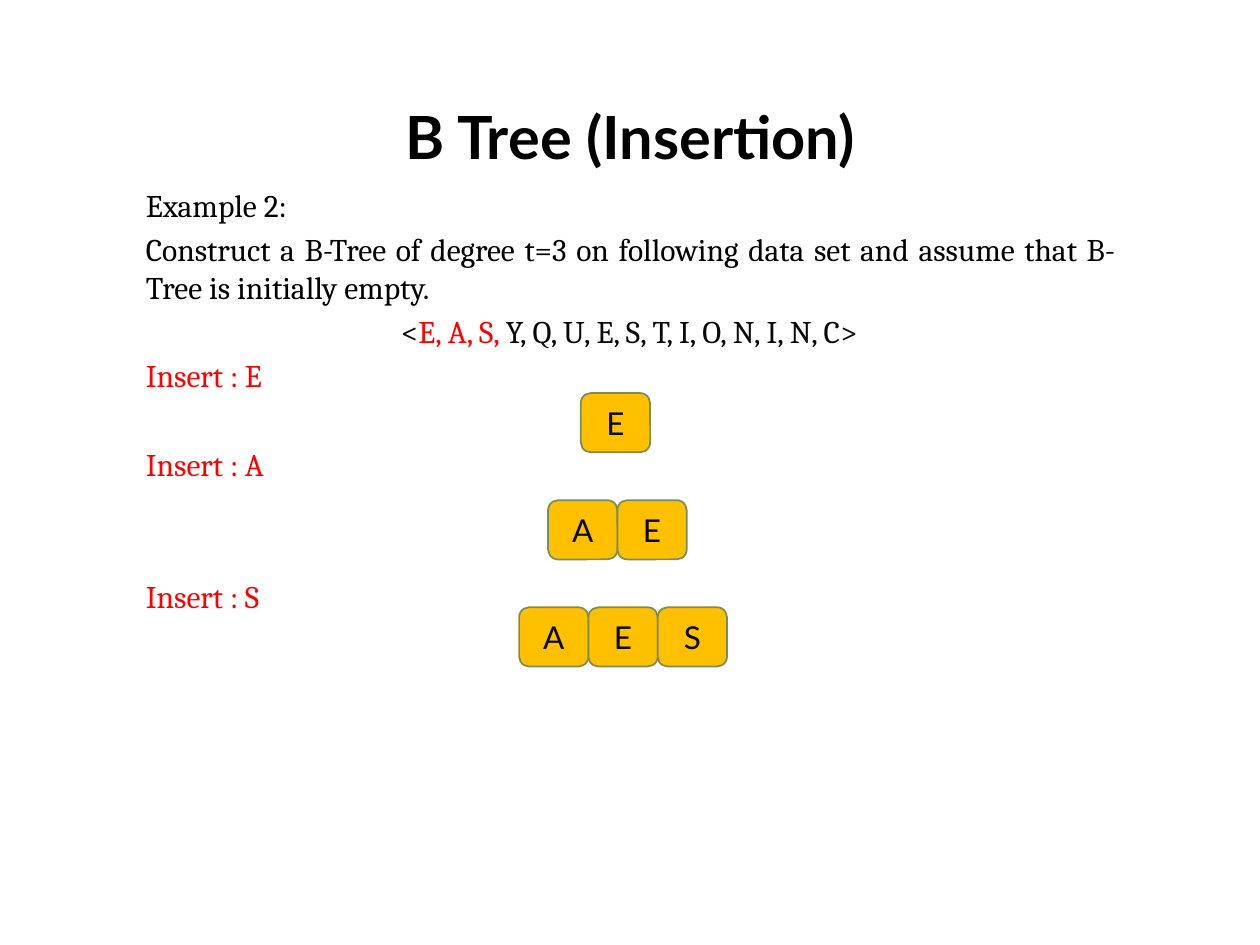
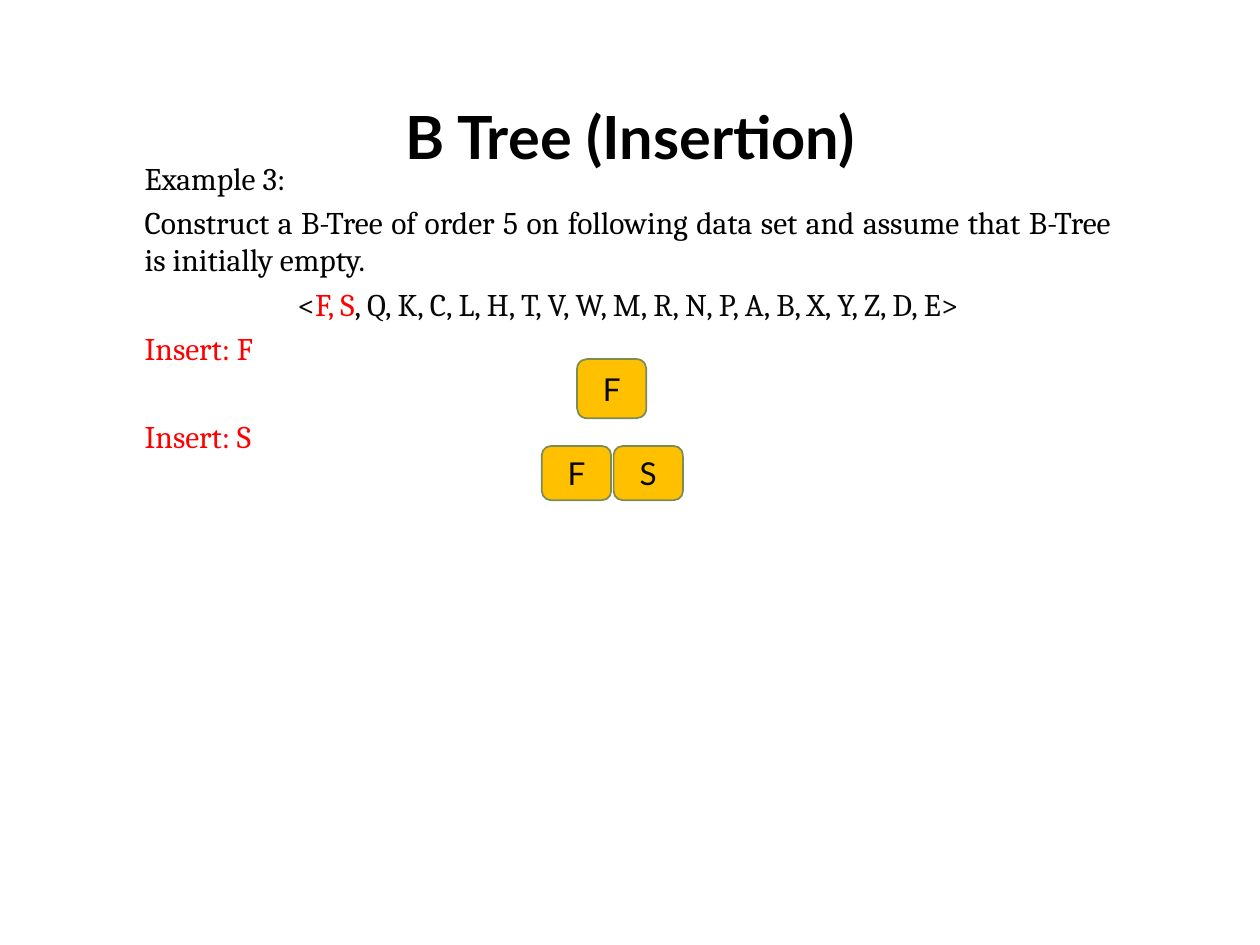
from pptx import Presentation
from pptx import util as u
from pptx.dml.color import RGBColor
from pptx.enum import shapes, text

BLACK, INK, RED = "000000", "080808", "FF0000"
KEY_FILL, KEY_LINE = "FFC000", "7B8D55"
HEADING_FONT, BODY_FONT = "Lato", "Cambria"
LEFT, CENTER, JUSTIFY = text.PP_ALIGN.LEFT, text.PP_ALIGN.CENTER, text.PP_ALIGN.JUSTIFY
TITLE_ONLY = 5
KEY_WIDTH = 0.55
PARAGRAPH_GAP = 3.6
LINE_PITCH = 25.15


def color(value):
    return RGBColor.from_string(value)


def style(font, name, size, value, bold=False):
    font.name, font.size, font.bold = name, u.Pt(size), bold
    font.color.rgb = color(value)


def place(shape, left, top, width, height):
    shape.left, shape.top = u.Inches(left), u.Inches(top)
    shape.width, shape.height = u.Inches(width), u.Inches(height)


def add_title_slide(presentation, title):
    slide = presentation.slides.add_slide(presentation.slide_layouts[TITLE_ONLY])
    shape = slide.shapes.title
    place(shape, 0.5, 0.68, 9, 0.79)
    frame = shape.text_frame
    frame.text = title
    frame.auto_size = text.MSO_AUTO_SIZE.NONE
    frame.vertical_anchor = text.MSO_ANCHOR.MIDDLE
    frame.paragraphs[0].alignment = CENTER
    style(frame.paragraphs[0].runs[0].font, HEADING_FONT, 34, BLACK, True)
    return slide


def add_body(slide, left, top, paragraphs):
    box = slide.shapes.add_textbox(u.Inches(left), u.Inches(top), u.Inches(7.87), u.Inches(5.07))
    frame = box.text_frame
    frame.word_wrap = True
    for index, (alignment, skipped_lines, runs) in enumerate(paragraphs):
        paragraph = frame.add_paragraph() if index else frame.paragraphs[0]
        paragraph.alignment = alignment
        if index:
            paragraph.space_before = u.Pt(PARAGRAPH_GAP + skipped_lines * LINE_PITCH)
        for words, value in runs:
            run = paragraph.add_run()
            run.text = words
            style(run.font, BODY_FONT, 18, value)


def problem(heading, statement, inserted, remaining):
    return [
        (JUSTIFY, 0, [(heading, BLACK)]),
        (JUSTIFY, 0, [(statement, BLACK)]),
        (CENTER, 0, [("<", INK), (inserted, RED), (remaining, INK)]),
    ]


def step(words, skipped_lines=0):
    return LEFT, skipped_lines, [(words, RED)]


def add_node(slide, keys, left, top, height=0.47, pitch=KEY_WIDTH):
    container = slide.shapes.add_group_shape().shapes if len(keys) > 1 else slide.shapes
    for index, key in enumerate(keys):
        shape = container.add_shape(
            shapes.MSO_SHAPE.ROUNDED_RECTANGLE,
            u.Inches(left + index * pitch), u.Inches(top),
            u.Inches(KEY_WIDTH), u.Inches(height))
        shape.shadow.inherit = False
        shape.fill.solid()
        shape.fill.fore_color.rgb = color(KEY_FILL)
        shape.line.color.rgb = color(KEY_LINE)
        shape.line.width = u.Pt(1)
        frame = shape.text_frame
        frame.text = key
        frame.vertical_anchor = text.MSO_ANCHOR.MIDDLE
        frame.paragraphs[0].alignment = CENTER
        style(frame.paragraphs[0].runs[0].font, HEADING_FONT, 18, INK)


def main():
    presentation = Presentation()
    presentation.slide_width, presentation.slide_height = u.Inches(10), u.Inches(7.5)
    title = "B Tree (Insertion)"

    slide = add_title_slide(presentation, title)
    add_body(slide, 1.06, 1.43, problem(
        "Example 2:",
        "Construct a B-Tree of degree t=3 on following data set and assume that "
        "B-Tree is initially empty.",
        "E, A, S, ", "Y, Q, U, E, S, T, I, O, N, I, N, C>",
    ) + [step("Insert : E"), step("Insert : A", 1), step("Insert : S", 2)])
    for index, (keys, left) in enumerate([("E", 4.61), ("AE", 4.35), ("AES", 4.12)]):
        add_node(slide, keys, left, 3.12 + index * 0.85)

    slide = add_title_slide(presentation, title)
    add_body(slide, 1.05, 1.21, problem(
        "Example 3:",
        "Construct a B-Tree of order 5 on following data set and assume that "
        "B-Tree is initially empty.",
        "F, S", ", Q, K, C, L, H, T, V, W, M, R, N, P, A, B, X, Y, Z, D, E>",
    ) + [step("Insert: F"), step("Insert: S", 1)])
    add_node(slide, "F", 4.58, 2.85)
    add_node(slide, "FS", 4.3, 3.54, height=0.43, pitch=0.57)

    presentation.save("out.pptx")


if __name__ == "__main__":
    main()
